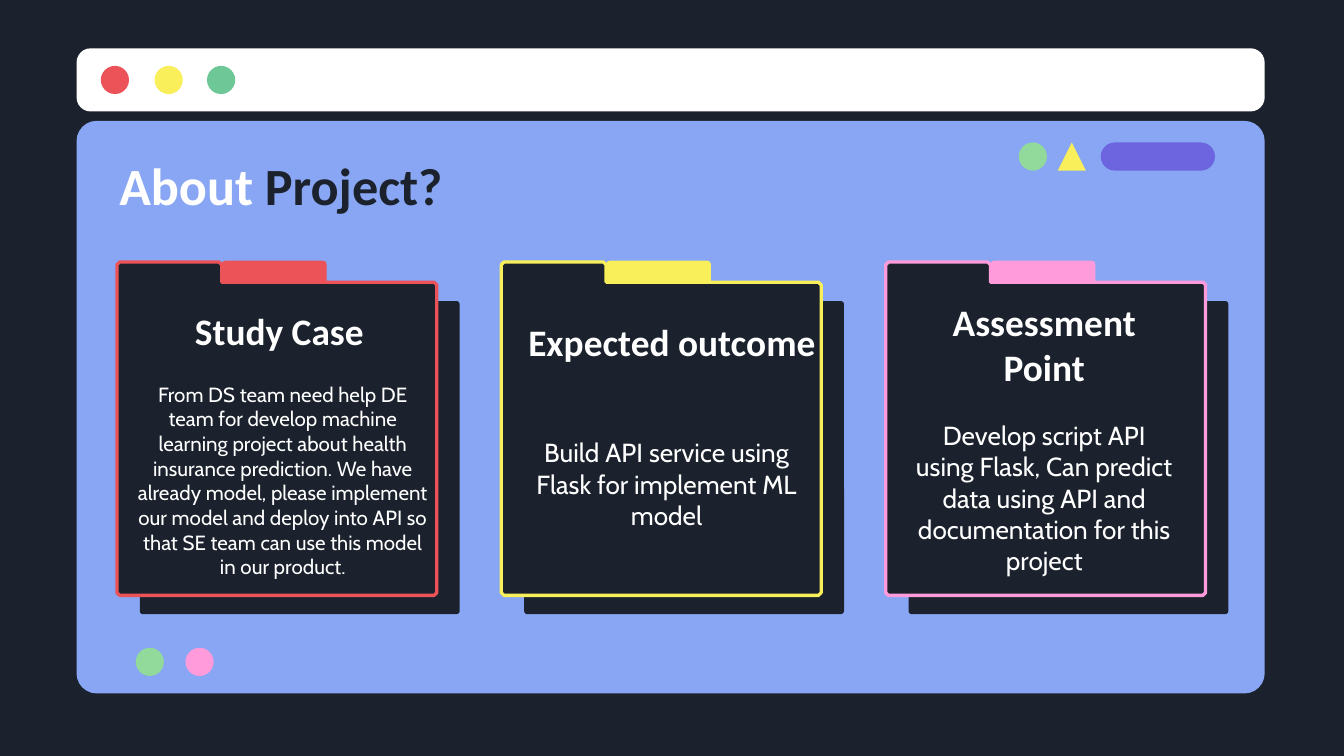
from dataclasses import dataclass

from pptx import Presentation
from pptx.dml.color import RGBColor
from pptx.enum import shapes, text
from pptx.util import Inches, Pt


@dataclass(frozen=True)
class Theme:
    night: str = "1B222D"
    white: str = "FFFFFF"
    window: str = "88A6F3"
    red: str = "EB5358"
    yellow: str = "F8EF5B"
    green: str = "6DC797"
    mint: str = "92D99C"
    pink: str = "FF9BDA"
    violet: str = "6D65E0"
    heading_font: str = "Calibri"
    body_font: str = "Cabin"
    title_size: int = 28
    heading_size: int = 20
    body_size: int = 14
    small_size: int = 11


theme = Theme()
deck = Presentation()
deck.slide_width = Inches(10)
deck.slide_height = Inches(10) * 9 // 16  # widescreen
slide = deck.slides.add_slide(deck.slide_layouts[6])
slide.background.fill.solid()
slide.background.fill.fore_color.rgb = RGBColor.from_string(theme.night)


def paint(part, fill, outline=None):
    part.shadow.inherit = False
    part.fill.solid()
    part.fill.fore_color.rgb = RGBColor.from_string(fill)
    if outline:
        part.line.color.rgb = RGBColor.from_string(outline)
        part.line.width = Pt(1.75)
    else:
        part.line.fill.background()


def write(runs, box, *, size, font, bold=False, align=text.PP_ALIGN.CENTER,
          anchor=text.MSO_ANCHOR.TOP):
    """Place one paragraph; runs is a list of (wording, colour)."""
    frame = slide.shapes.add_textbox(*map(Inches, box)).text_frame
    frame.word_wrap = True
    frame.vertical_anchor = anchor
    frame.margin_left = frame.margin_right = Inches(0.1)
    frame.margin_top = frame.margin_bottom = Inches(0.1)
    paragraph = frame.paragraphs[0]
    paragraph.alignment = align
    for wording, colour in runs:
        run = paragraph.add_run()
        run.text = wording
        run.font.name, run.font.size, run.font.bold = font, Pt(size), bold
        run.font.color.rgb = RGBColor.from_string(colour)


# Browser window, its bar, buttons and ornaments
preset = shapes.MSO_SHAPE
dot = 0.21
for kind, box, fill, radius in [
    (preset.ROUNDED_RECTANGLE, (0.57, 0.9, 8.84, 4.26), theme.window, 0.035),
    (preset.ROUNDED_RECTANGLE, (0.57, 0.36, 8.84, 0.47), theme.white, 0.223),
    (preset.OVAL, (0.75, 0.49, dot, dot), theme.red, None),
    (preset.OVAL, (1.15, 0.49, dot, dot), theme.yellow, None),
    (preset.OVAL, (1.54, 0.49, dot, dot), theme.green, None),
    (preset.OVAL, (7.58, 1.06, dot, dot), theme.mint, None),
    (preset.ISOSCELES_TRIANGLE, (7.87, 1.06, dot, dot), theme.yellow, None),
    (preset.ROUNDED_RECTANGLE, (8.19, 1.06, 0.85, dot), theme.violet, 0.5),
    (preset.OVAL, (1.38, 4.82, dot, dot), theme.pink, None),
    (preset.OVAL, (1.01, 4.82, dot, dot), theme.mint, None),
]:
    ornament = slide.shapes.add_shape(kind, *map(Inches, box))
    paint(ornament, fill)
    if radius:
        ornament.adjustments[0] = radius

# Slide title
write([("About", theme.white), (" Project?", theme.night)], (0.79, 1.06, 8.43, 0.62),
      size=theme.title_size, font=theme.heading_font, bold=True,
      align=text.PP_ALIGN.LEFT, anchor=text.MSO_ANCHOR.MIDDLE)

# Folders: accent, heading, heading box, body, body box, body size
folders = [
    (theme.red, "Study Case", (1.01, 2.17, 2.14, 0.58),
     "From DS team need help DE team for develop machine learning project about "
     "health insurance prediction. We have already model, please implement our "
     "model and deploy into API so that SE team can use this model in our product.",
     (0.92, 2.74, 2.37, 1.36), theme.small_size),
    (theme.yellow, "Expected outcome", (3.71, 2.25, 2.58, 0.58),
     "Build API service using Flask for implement ML model",
     (3.89, 3.15, 2.14, 1.36), theme.body_size),
    (theme.pink, "Assessment Point", (6.7, 2.27, 2.14, 0.58),
     "Develop script API using Flask, Can predict data using API and "
     "documentation for this project",
     (6.7, 3.02, 2.14, 1.36), theme.body_size),
]
folder_left, folder_top, folder_pitch = 0.87, 1.95, 2.86
folder_width, folder_height = 2.38, 2.48
tab_width, tab_drop, cut = 0.78, 0.15, 0.02
folder_outline = [
    (cut, 0), (tab_width - cut, 0), (tab_width, cut), (tab_width, tab_drop),
    (folder_width - cut, tab_drop), (folder_width, tab_drop + cut),
    (folder_width, folder_height - cut), (folder_width - cut, folder_height),
    (cut, folder_height), (0, folder_height - cut), (0, cut),
]

for column, (accent, heading, heading_box, body, body_box, body_size) in enumerate(folders):
    left = folder_left + column * folder_pitch

    # Back sheet and coloured tab
    for box, fill, radius in [
        ((left + 0.17, 2.24, 2.38, 2.33), theme.night, 0.01),
        ((left + tab_width, 1.94, 0.78, 0.29), accent, 0.09),
    ]:
        sheet = slide.shapes.add_shape(preset.ROUNDED_RECTANGLE, *map(Inches, box))
        sheet.adjustments[0] = radius
        paint(sheet, fill)

    # Folder front
    corners = [(Inches(left + x), Inches(folder_top + y)) for x, y in folder_outline]
    builder = slide.shapes.build_freeform(*corners[0])
    builder.add_line_segments(corners[1:], close=True)
    paint(builder.convert_to_shape(), theme.night, outline=accent)

    # Wording
    write([(heading, theme.white)], heading_box, size=theme.heading_size,
          font=theme.heading_font, bold=True, anchor=text.MSO_ANCHOR.MIDDLE)
    write([(body, theme.white)], body_box, size=body_size, font=theme.body_font)

deck.save("out.pptx")
